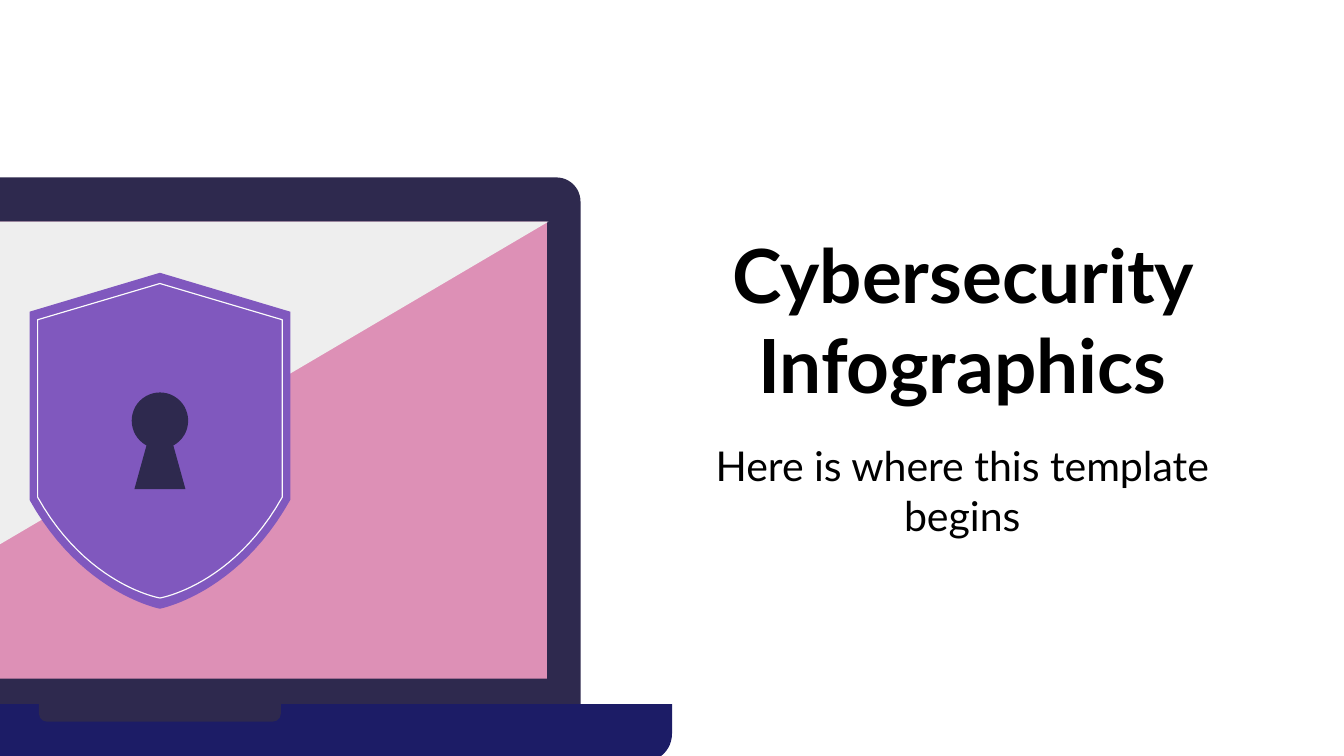
import pptx
import pptx.dml.color
import pptx.enum.shapes
import pptx.enum.text
import pptx.util

Inches = pptx.util.Inches
SHAPE = pptx.enum.shapes.MSO_SHAPE
ANCHOR = pptx.enum.text.MSO_ANCHOR

# Content
TITLE = "Cybersecurity Infographics"
SUBTITLE = "Here is where this template begins"
FONT = "Lato"
COLORS = {
    "text": "000000", "frame": "2E294E", "screen": "DD90B6", "glare": "EEEEEE",
    "base": "1C1C66", "shield": "8058BE", "outline": "FCFCFC",
}

# Laptop parts: preset, left, top, width, height, colour, top and bottom corner radius
LAPTOP = [
    (SHAPE.ROUND_2_SAME_RECTANGLE, -1.95, 1.32, 6.27, 3.92, "frame", 0.18, 0),
    (SHAPE.RECTANGLE, -1.7, 1.65, 5.77, 3.4, "screen", 0, 0),
    (SHAPE.ROUND_2_SAME_RECTANGLE, -2.62, 5.24, 7.62, 0.43, "base", 0, 0.21),
    (SHAPE.ROUND_2_SAME_RECTANGLE, 0.29, 5.24, 1.8, 0.13, "frame", 0, 0.06),
]
GLARE = [(-1.7, 1.65), (-1.7, 5.05), (4.08, 1.65)]

# Shields: half width, peak, shoulder, hip, tip, first curve control (from axis, y), fill, line
AXIS = 1.19
SHIELDS = [
    (0.97, 2.03, 2.32, 3.72, 4.53, (0.58, 4.42), "shield", None),
    (0.91, 2.11, 2.38, 3.7, 4.45, (0.54, 4.36), None, "outline"),
]
KEYHOLE_HEAD = (0.98, 2.92, 0.42, 0.42)
KEYHOLE_STEM = [(1.1, 3.28), (1, 3.64), (1.38, 3.64), (1.28, 3.28)]


def rgb(name):
    return pptx.dml.color.RGBColor.from_string(COLORS[name])


def paint(shape, fill=None, line=None):
    shape.shadow.inherit = False
    if fill:
        shape.fill.solid()
        shape.fill.fore_color.rgb = rgb(fill)
    else:
        shape.fill.background()
    if line:
        shape.line.color.rgb = rgb(line)
        shape.line.width = pptx.util.Pt(0.61)
    else:
        shape.line.fill.background()


def add_preset(shapes, preset, box, fill):
    shape = shapes.add_shape(preset, *map(Inches, box))
    paint(shape, fill)
    return shape


def add_outline(shapes, points, fill=None, line=None):
    start, *rest = [(Inches(x), Inches(y)) for x, y in points]
    builder = shapes.build_freeform(*start, scale=1.0)
    builder.add_line_segments(rest, close=True)
    paint(builder.convert_to_shape(), fill, line)


def shield_points(half, peak, shoulder, hip, tip, control, steps=24):
    """Right half from peak to tip, then its mirror back up the left."""
    offset, control_y = control
    right = [(0, peak), (half, shoulder)]
    for i in range(steps + 1):
        t = i / steps
        u = 1 - t
        right.append((u**3 * half + 3 * u * u * t * offset,
                      u**3 * hip + 3 * u * u * t * control_y + (3 * u + t) * t * t * tip))
    left = [(-x, y) for x, y in right[-2:0:-1]]
    return [(AXIS + x, y) for x, y in right + left]


def write_text(placeholder, text, *, box, size, bold=False, anchor=ANCHOR.TOP):
    (placeholder.left, placeholder.top,
     placeholder.width, placeholder.height) = map(Inches, box)
    frame = placeholder.text_frame
    frame.text = text
    frame.word_wrap = True
    frame.auto_size = pptx.enum.text.MSO_AUTO_SIZE.NONE
    frame.vertical_anchor = anchor
    frame.margin_left = frame.margin_right = Inches(0.1)
    frame.margin_top = frame.margin_bottom = Inches(0.1)
    paragraph = frame.paragraphs[0]
    paragraph.alignment = pptx.enum.text.PP_ALIGN.CENTER
    paragraph.space_before = pptx.util.Pt(0)
    font = paragraph.runs[0].font
    font.name, font.size, font.bold = FONT, pptx.util.Pt(size), bold
    font.color.rgb = rgb("text")


def main():
    # Widescreen 16:9 slide
    deck = pptx.Presentation()
    deck.slide_width = Inches(10)
    deck.slide_height = deck.slide_width * 9 // 16
    slide = deck.slides.add_slide(deck.slide_layouts[0])

    # Title and subtitle
    title, subtitle = slide.placeholders
    write_text(title, TITLE, box=(5.21, 1.58, 3.9, 1.56), size=40, bold=True,
               anchor=ANCHOR.BOTTOM)
    write_text(subtitle, SUBTITLE, box=(5.21, 3.18, 3.9, 0.87), size=22)

    # Laptop
    laptop = slide.shapes.add_group_shape().shapes
    for preset, left, top, width, height, color, *radii in LAPTOP:
        part = add_preset(laptop, preset, (left, top, width, height), color)
        if preset == SHAPE.ROUND_2_SAME_RECTANGLE:
            for i, radius in enumerate(radii):
                part.adjustments[i] = radius / min(width, height)
    add_outline(laptop, GLARE, "glare")

    # Shield with keyhole
    for *measures, fill, line in SHIELDS:
        add_outline(laptop, shield_points(*measures), fill, line)
    add_preset(laptop, SHAPE.OVAL, KEYHOLE_HEAD, "frame")
    add_outline(laptop, KEYHOLE_STEM, "frame")

    deck.save("out.pptx")


if __name__ == "__main__":
    main()
